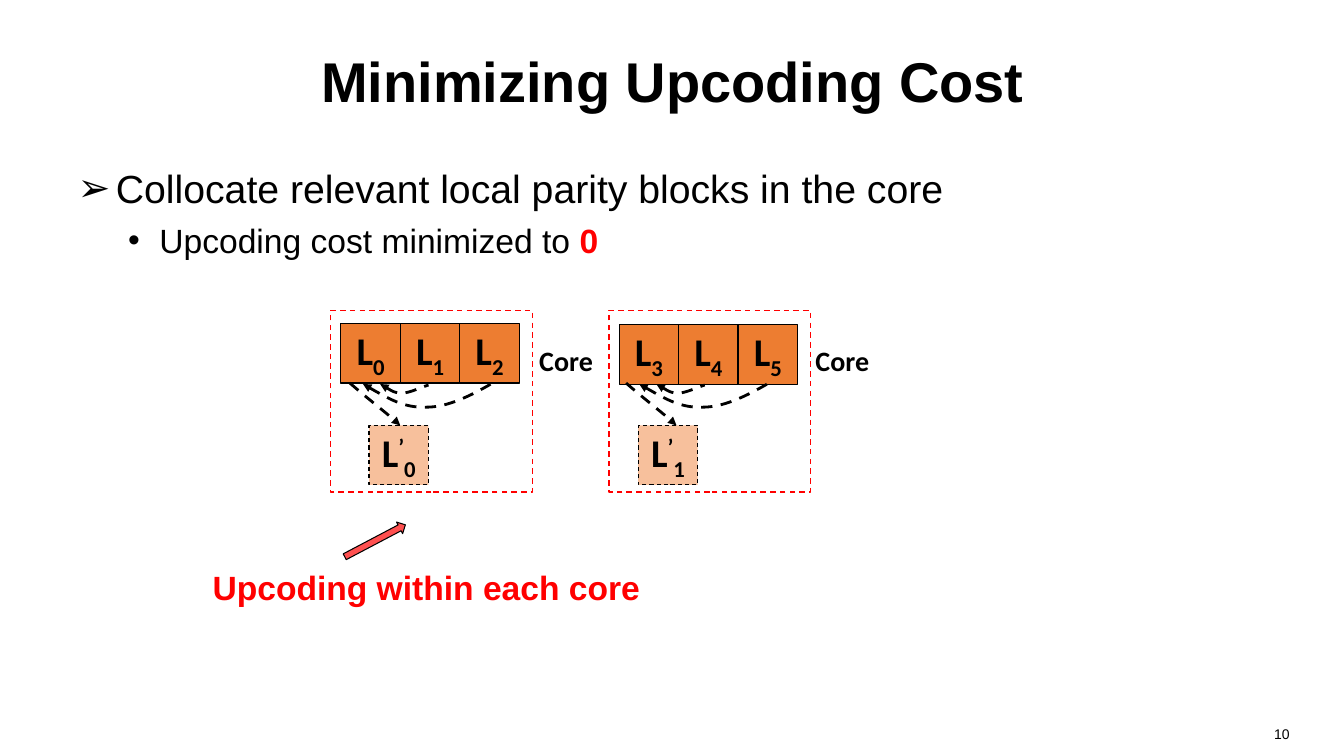
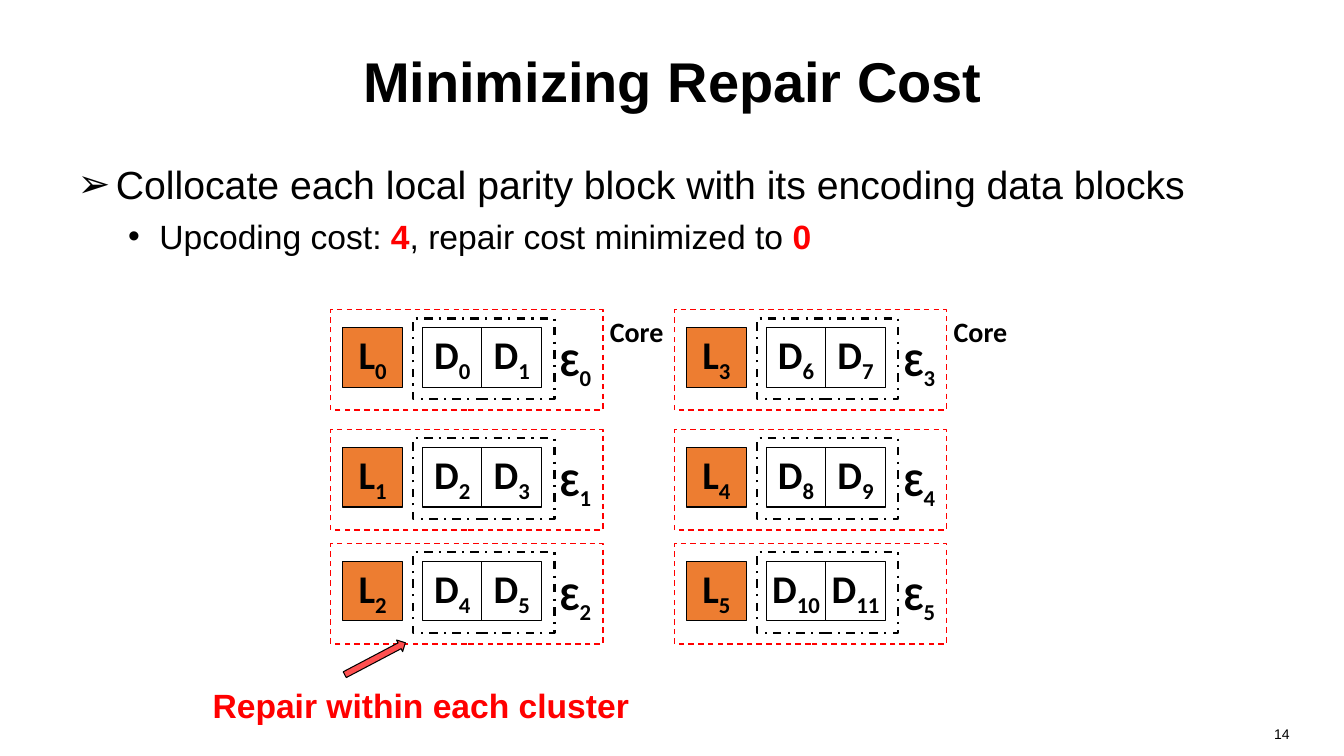
from dataclasses import dataclass

from lxml import etree
from pptx import Presentation
from pptx.dml.color import RGBColor
from pptx.enum.dml import MSO_LINE
from pptx.enum.shapes import MSO_SHAPE
from pptx.enum.text import MSO_ANCHOR, MSO_AUTO_SIZE, PP_ALIGN
from pptx.oxml.ns import qn
from pptx.util import Inches, Pt

RECT, RIGHT_ARROW = MSO_SHAPE.RECTANGLE, MSO_SHAPE.RIGHT_ARROW
DASH, DASH_DOT = MSO_LINE.DASH, MSO_LINE.DASH_DOT
LEFT, CENTER, RIGHT = PP_ALIGN.LEFT, PP_ALIGN.CENTER, PP_ALIGN.RIGHT
MIDDLE = MSO_ANCHOR.MIDDLE
NO_FIT, FIT_SHAPE = MSO_AUTO_SIZE.NONE, MSO_AUTO_SIZE.SHAPE_TO_FIT_TEXT


@dataclass(frozen=True)
class Theme:
    ink: str = "000000"
    accent: str = "FF0000"
    parity: str = "ED7D31"
    new_parity: str = "F7C09C"
    arrow: str = "FF5050"
    font: str = "Arial"
    block_font: str = "Calibri"
    title: int = 40
    bullet: int = 28
    sub_bullet: int = 24
    block: int = 28
    core: int = 20
    note: int = 24
    number: int = 10


T = Theme()
BLOCK = 0.59
LEVELS = (("➢", 0.38, -0.38, 0, T.bullet), ("•", 0.81, -0.31, 6, T.sub_bullet))


class Deck:
    """Holds the presentation, its style and the current slide."""

    def __init__(self):
        self.prs = Presentation()
        self.prs.slide_width, self.prs.slide_height = Inches(13.33), Inches(7.5)
        self.s = None

    def run(self, p, text, size, font=T.font, color=T.ink, bold=False, base=0):
        r = p.add_run()
        r.text = text
        f = r.font
        f.size, f.name, f.bold = Pt(size), font, bold
        f.color.rgb = RGBColor.from_string(color)
        if base:
            r._r.get_or_add_rPr().set("baseline", str(base * 1000))

    def place(self, sp, x, y, w, h):
        sp.left, sp.top, sp.width, sp.height = map(Inches, (x, y, w, h))

    def slide(self, title, number, body_y, body_h, *paragraphs):
        self.s = self.prs.slides.add_slide(self.prs.slide_layouts[1])
        sp = self.s.shapes.title
        self.place(sp, 0.67, 0.17, 12, 1.25)
        tf = sp.text_frame
        tf.vertical_anchor, tf.auto_size = MIDDLE, NO_FIT
        p = tf.paragraphs[0]
        p.alignment = CENTER
        self.run(p, title, T.title, bold=True)
        self.body(body_y, body_h, paragraphs)
        self.text(9.78, 7.15, 3.11, 0.35, str(number), T.number, align=RIGHT)

    def body(self, y, h, paragraphs):
        sp = self.s.placeholders[1]
        self.place(sp, 0.67, y, 12, h)
        tf = sp.text_frame
        tf.auto_size = NO_FIT
        for level, runs in enumerate(paragraphs):
            p = tf.add_paragraph() if level else tf.paragraphs[0]
            char, margin, indent, before, size = LEVELS[level]
            p.level, p.space_before = level, Pt(before)
            pPr = p._p.get_or_add_pPr()
            pPr.set("marL", str(Inches(margin)))
            pPr.set("indent", str(Inches(indent)))
            etree.SubElement(pPr, qn("a:buFont"), typeface=T.font)
            etree.SubElement(pPr, qn("a:buChar"), char=char)
            for text, strong in runs:
                color = T.accent if strong else T.ink
                self.run(p, text, size, color=color, bold=strong)

    def text(self, x, y, w, h, text, size, align=LEFT, sub="", **style):
        sp = self.s.shapes.add_textbox(*map(Inches, (x, y, w, h)))
        tf = sp.text_frame
        tf.word_wrap, tf.auto_size = True, FIT_SHAPE
        p = tf.paragraphs[0]
        p.alignment = align
        self.run(p, text, size, **style)
        if sub:
            self.run(p, sub, size, base=-25, **style)

    def finish(self, sp, fill, line, width, dash):
        sp.shadow.inherit = False
        if fill:
            sp.fill.solid()
            sp.fill.fore_color.rgb = RGBColor.from_string(fill)
        else:
            sp.fill.background()
        sp.line.color.rgb = RGBColor.from_string(line)
        sp.line.width = Pt(width)
        if dash:
            sp.line.dash_style = dash

    def shape(self, kind, x, y, w, h, fill=None, line=T.ink, width=0.75, dash=None):
        sp = self.s.shapes.add_shape(kind, *map(Inches, (x, y, w, h)))
        self.finish(sp, fill, line, width, dash)
        return sp

    def block(self, x, y, letter, sub, fill=None, prime="", dash=None):
        tf = self.shape(RECT, x, y, BLOCK, BLOCK, fill, dash=dash).text_frame
        tf.word_wrap, tf.vertical_anchor = False, MIDDLE
        p = tf.paragraphs[0]
        p.alignment = CENTER
        for text, base in ((letter, 0), (prime, 30), (str(sub), -25)):
            if text:
                self.run(p, text, T.block, T.block_font, bold=True, base=base)

    def frame(self, x, y, w, h):
        self.shape(RECT, x, y, w, h, line=T.accent, width=1, dash=DASH)

    def core_label(self, x, y):
        self.text(x, y, 1, 0.44, "Core", T.core, font=T.block_font, bold=True)

    def curve(self, points, end, dx):
        pts = [(Inches(x + dx), Inches(y)) for x, y in points]
        fb = self.s.shapes.build_freeform(*pts[0])
        fb.add_line_segments(pts[1:], close=False)
        sp = fb.convert_to_shape()
        self.finish(sp, None, T.ink, 2, DASH)
        spPr = sp.element.spPr
        etree.SubElement(spPr.find(qn("a:ln")), qn(end), type="triangle")
        path = next(spPr.iter(qn("a:path")))
        segments = path.findall(qn("a:lnTo"))
        for i in range(0, len(segments), 3):
            bezier = etree.SubElement(path, qn("a:cubicBezTo"))
            for segment in segments[i:i + 3]:
                bezier.append(segment[0])
                path.remove(segment)

    def callout(self, text, arrow_y, text_y):
        self.shape(RIGHT_ARROW, 3.38, arrow_y, 0.68, 0.13, T.arrow).rotation = 332.2
        self.text(2.01, text_y, 4.72, 0.5, text, T.note, color=T.accent, bold=True)


CURVES = (
    ("a:headEnd", ((3.77, 3.81), (3.84, 3.85), (3.91, 3.9), (3.99, 3.9),
                   (4.06, 3.9), (4.21, 3.83), (4.25, 3.82))),
    ("a:headEnd", ((3.6, 3.81), (3.81, 3.93), (4.01, 4.05), (4.23, 4.04),
                   (4.44, 4.04), (4.66, 3.93), (4.87, 3.81))),
    ("a:tailEnd", ((3.47, 3.8), (3.63, 3.94), (3.9, 4.15), (3.97, 4.22))),
)


def upcoding_slide(deck):
    deck.slide("Minimizing Upcoding Cost", 10, 1.58, 1.51,
               [("Collocate relevant local parity blocks in the core", False)],
               [("Upcoding cost minimized to ", False), ("0", True)])
    for core, (x, prime_x) in enumerate(((3.28, 3.66), (6.04, 6.33))):
        for i in range(3):
            deck.block(x + 0.1 + i * BLOCK, 3.21 + core * 0.01, "L", core * 3 + i, T.parity)
        deck.frame(x, 3.08, 2, 1.8)
        deck.core_label(5.25 + core * 2.74, 3.36)
        deck.block(prime_x, 4.22, "L", core, T.new_parity, prime="’", dash=DASH)
        for end, points in CURVES:
            deck.curve(points, end, core * 2.74)
    deck.callout("Upcoding within each core", 5.3, 5.58)


def repair_slide(deck):
    deck.slide("Minimizing Repair Cost", 14, 1.54, 1.22,
               [("Collocate each local parity block with its encoding data blocks", False)],
               [("Upcoding cost: ", False), ("4", True),
                (", repair cost minimized to ", False), ("0", True)])
    tops = (3.07, 4.26, 5.39)
    for col in range(2):
        x = 3.28 + col * 3.41
        for row, y in enumerate(tops):
            group = col * len(tops) + row
            deck.shape(RECT, x + 0.82, y + 0.09, 1.4, 0.8, width=1.5, dash=DASH_DOT)
            deck.block(x + 0.12, y + 0.18, "L", group, T.parity)
            for i in range(2):
                deck.block(x + 0.91 + i * BLOCK, y + 0.18, "D", group * 2 + i)
            deck.frame(x, y, 2.7, 1)
            deck.text(x + 2.18, y + 0.23, 0.61, 0.57, "Ɛ", T.block, sub=str(group),
                      font=T.block_font, bold=True)
        deck.core_label(x + 2.67, tops[0])
    deck.callout("Repair within each cluster", 6.47, 6.75)


def main():
    deck = Deck()
    upcoding_slide(deck)
    repair_slide(deck)
    deck.prs.save("out.pptx")


if __name__ == "__main__":
    main()
